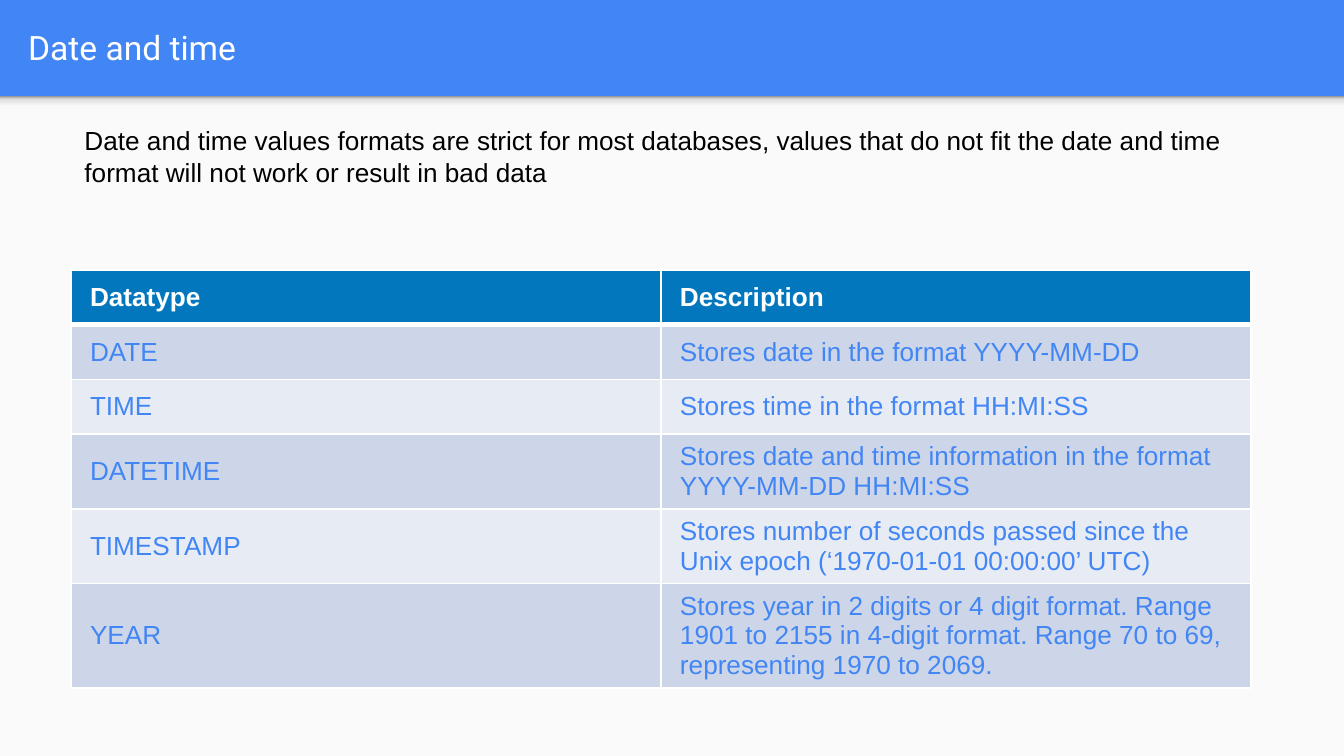
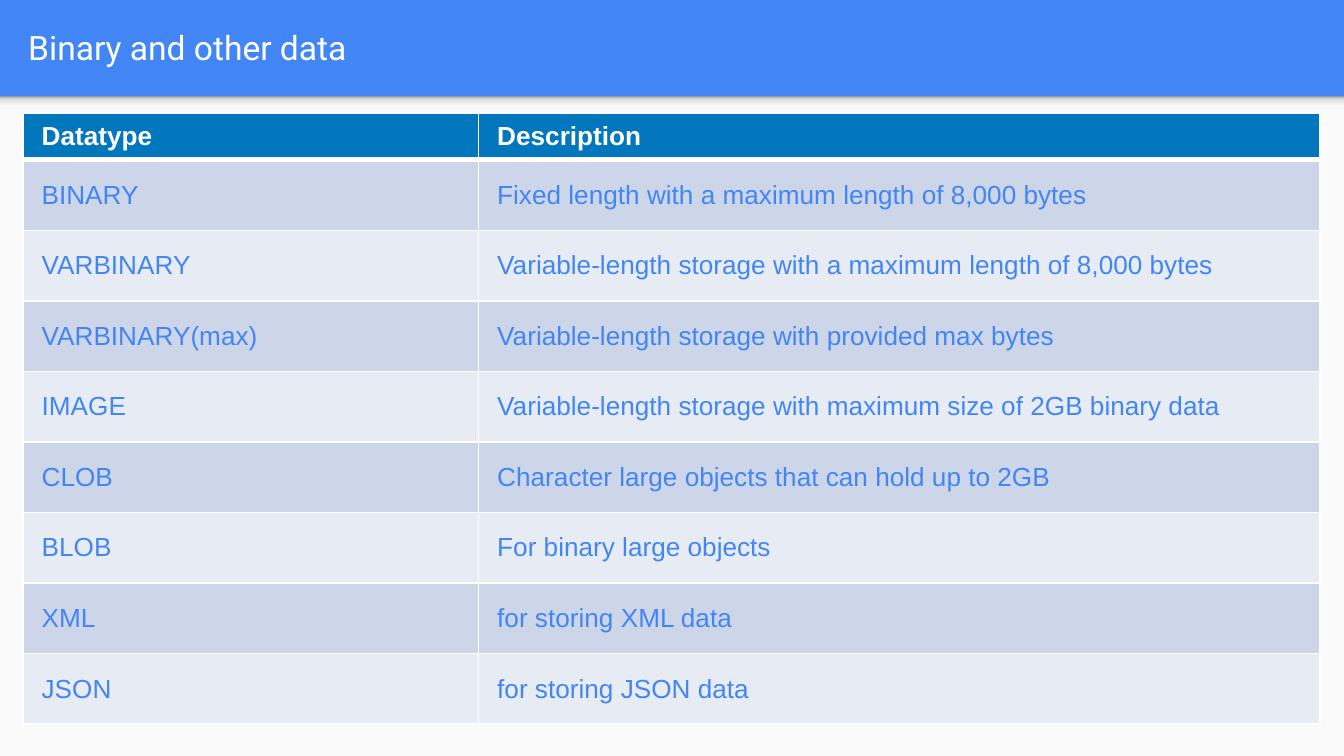
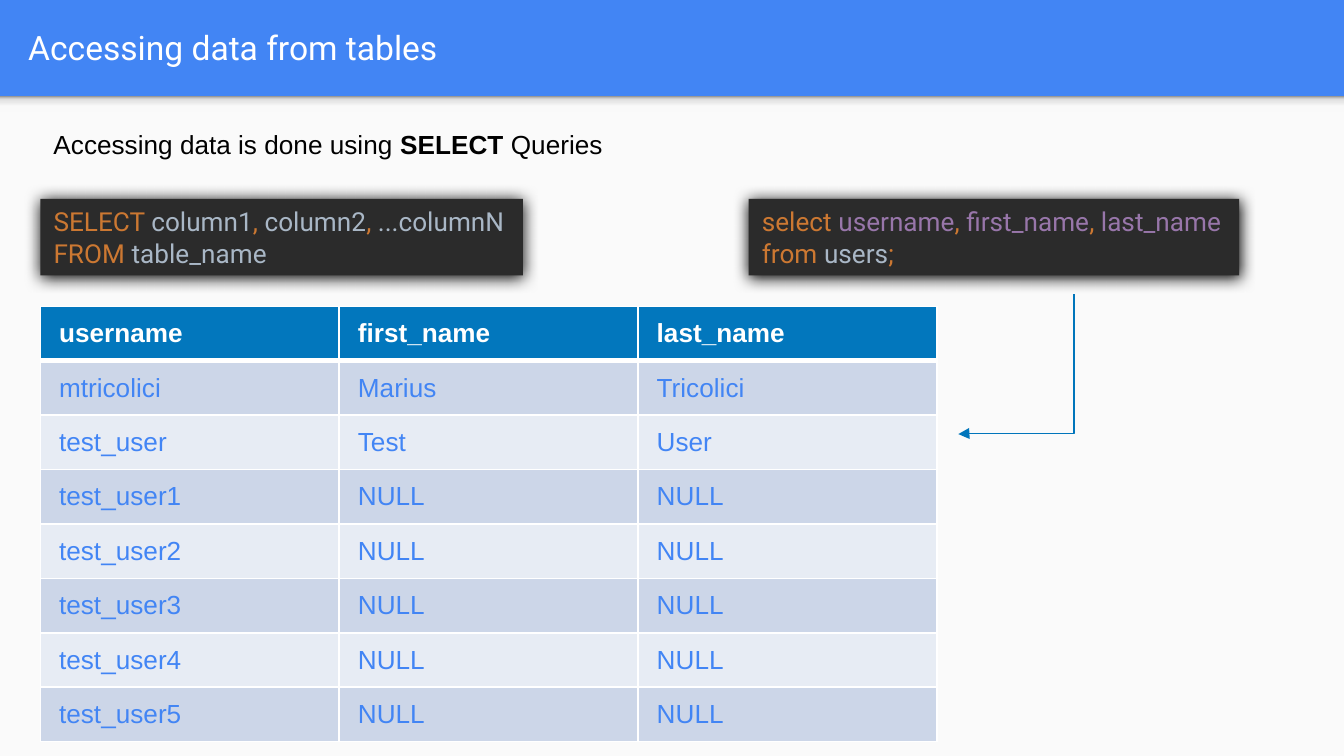
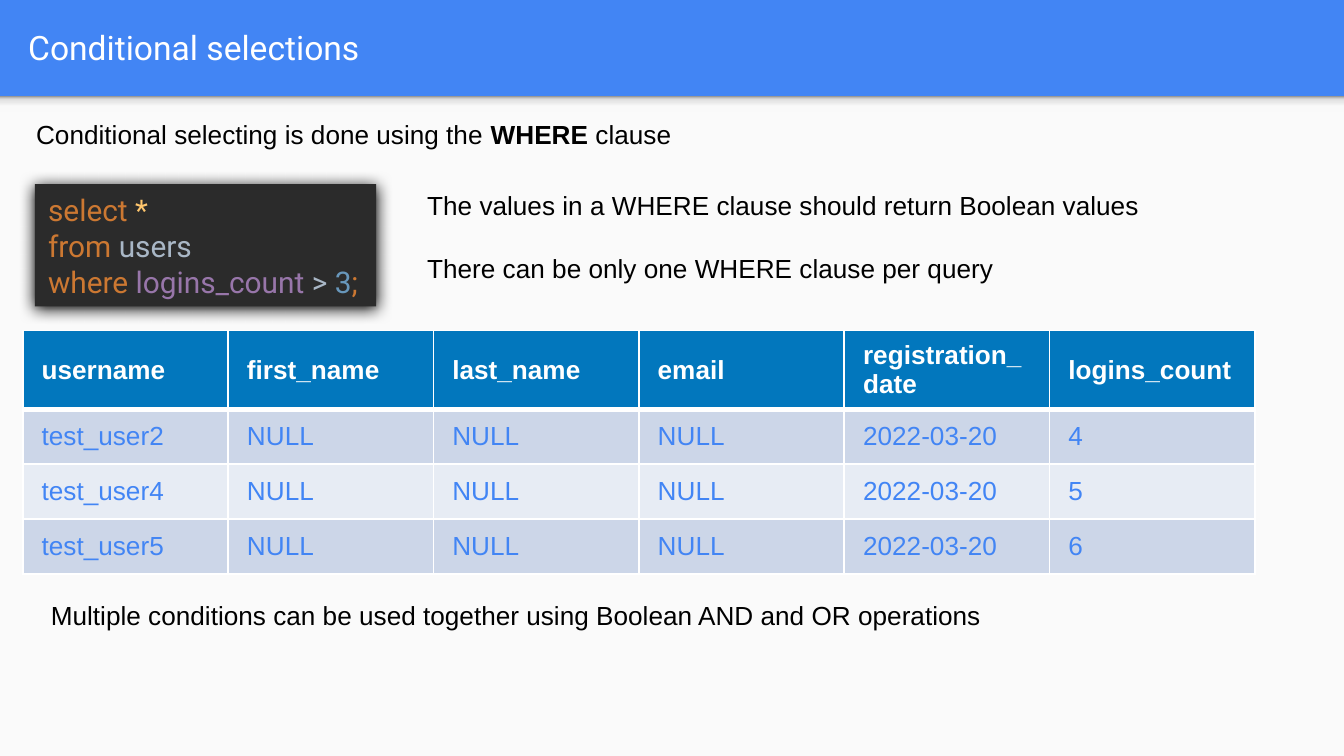
from dataclasses import dataclass

from pptx import Presentation
from pptx.dml.color import RGBColor
from pptx.enum.shapes import MSO_CONNECTOR, MSO_SHAPE
from pptx.enum.text import MSO_ANCHOR, MSO_AUTO_SIZE, PP_ALIGN
from pptx.oxml import parse_xml
from pptx.oxml.ns import nsdecls, qn
from pptx.util import Inches, Pt

RECTANGLE = MSO_SHAPE.RECTANGLE
ELBOW = MSO_CONNECTOR.ELBOW
MIDDLE = MSO_ANCHOR.MIDDLE
LEFT = PP_ALIGN.LEFT
FIT_SHAPE = MSO_AUTO_SIZE.SHAPE_TO_FIT_TEXT
FIT_NONE = MSO_AUTO_SIZE.NONE
TITLE_ONLY = 5


@dataclass(frozen=True)
class Theme:
    primary: str = "4285F4"
    page: str = "FAFAFA"
    white: str = "FFFFFF"
    text: str = "000000"
    header: str = "0277BD"
    row_odd: str = "CCD6E8"
    row_even: str = "E7ECF4"
    arrow: str = "0075BB"
    code_fill: str = "2B2B2B"
    keyword: str = "CC7832"
    plain: str = "A9B7C6"
    column: str = "9876AA"
    star: str = "FFC66D"
    number: str = "6897BB"
    band_stops: tuple = ((0, "F9F9F9"), (36, "F9F9F9"), (80, "DEDEDE"), (100, "999999"))
    body_font: str = "Arial"
    title_font: str = "Roboto"
    title_size: int = 18
    code_size: int = 14
    code_size_large: int = 16
    body_size: int = 14
    paragraph_gap: int = 17


THEME = Theme()


def rgb(value):
    return RGBColor.from_string(value)


def drawing_element(tag, inner="", **attributes):
    listed = " ".join(f'{name}="{value}"' for name, value in attributes.items())
    return parse_xml(f'<a:{tag} {nsdecls("a")} {listed}>{inner}</a:{tag}>')


def color_markup(value):
    return f'<a:srgbClr val="{value}"/>'


def write(paragraph, text, *, font=THEME.body_font, size=THEME.body_size,
          color=THEME.text, bold=False):
    run = paragraph.add_run()
    run.text = text
    run.font.name = font
    run.font.size = Pt(size)
    run.font.color.rgb = rgb(color)
    run.font.bold = bold


def set_insets(target, horizontal, vertical):
    target.margin_left = target.margin_right = Inches(horizontal)
    target.margin_top = target.margin_bottom = Inches(vertical)


def add_rectangle(slide, box, fill=None):
    shape = slide.shapes.add_shape(RECTANGLE, *map(Inches, box))
    shape.shadow.inherit = False
    shape.line.fill.background()
    if fill:
        shape.fill.solid()
        shape.fill.fore_color.rgb = rgb(fill)
    return shape


# Shared page: blue background, light page and shaded band, held by the master
def build_master(presentation, slide):
    master = presentation.slide_master
    master.background.fill.solid()
    master.background.fill.fore_color.rgb = rgb(THEME.primary)

    page_height = 4.91
    page_top = presentation.slide_height.inches - page_height
    page = add_rectangle(slide, (0, page_top, 10, page_height), THEME.page)
    band = add_rectangle(slide, (0, page_top, 10, 0.12))
    band.fill.gradient()
    band.fill.gradient_angle = 90
    stops = band.element.spPr.find(".//" + qn("a:gsLst"))
    stops.clear()
    for position, color in THEME.band_stops:
        stops.append(drawing_element("gs", color_markup(color), pos=position * 1000))
    for index, shape in enumerate((page, band), start=2):
        master.shapes.element.insert(index, shape.element)


def add_titled_slide(presentation, title):
    slide = presentation.slides.add_slide(presentation.slide_layouts[TITLE_ONLY])
    shape = slide.shapes.title
    shape.left, shape.top, shape.width, shape.height = map(Inches, (0.11, 0.02, 9.65, 0.66))
    frame = shape.text_frame
    set_insets(frame, 0.1, 0.1)
    frame.vertical_anchor = MIDDLE
    frame.auto_size = FIT_NONE
    paragraph = frame.paragraphs[0]
    paragraph.alignment = LEFT
    write(paragraph, title, font=THEME.title_font, size=THEME.title_size, color=THEME.white)
    return slide


# Body text: each paragraph is a list of (text, bold) spans
def add_text(slide, box, *paragraphs):
    frame = slide.shapes.add_textbox(*map(Inches, box)).text_frame
    frame.word_wrap = True
    frame.auto_size = FIT_SHAPE
    for index, spans in enumerate(paragraphs):
        paragraph = frame.add_paragraph() if index else frame.paragraphs[0]
        if index:
            paragraph.space_before = Pt(THEME.paragraph_gap)
        for text, bold in spans:
            write(paragraph, text, bold=bold)


# Code panel: each line is a list of (text, color) spans
def add_code(slide, box, lines, size=THEME.code_size):
    shape = add_rectangle(slide, box, THEME.code_fill)
    shape.element.spPr.find(qn("a:effectLst")).append(drawing_element(
        "outerShdw", color_markup(THEME.text), blurRad=Pt(8.5), dist=Pt(1),
        dir=5400000, algn="t", rotWithShape=0))
    frame = shape.text_frame
    frame.word_wrap = False
    frame.auto_size = FIT_SHAPE
    frame.vertical_anchor = MIDDLE
    paragraph = frame.paragraphs[0]
    paragraph.alignment = LEFT
    for index, spans in enumerate(lines):
        if index:
            paragraph.add_line_break()
        for text, color in spans:
            write(paragraph, text, font=THEME.title_font, size=size, color=color)


# Tables
def set_borders(cell, top, bottom):
    properties = cell._tc.get_or_add_tcPr()
    fill = f"<a:solidFill>{color_markup(THEME.white)}</a:solidFill>"
    for index, (side, width) in enumerate((("L", 1), ("R", 1), ("T", top), ("B", bottom))):
        properties.insert(index, drawing_element(f"ln{side}", fill, w=Pt(width)))


def add_data_table(slide, box, rows, column_widths=None, header_height=None):
    left, top, width, height = map(Inches, box)
    table = slide.shapes.add_table(len(rows), len(rows[0]), left, top, width, height).table
    if column_widths:
        for column, column_width in zip(table.columns, column_widths):
            column.width = Inches(column_width)
    if header_height:
        header, *body = table.rows
        header.height = Inches(header_height)
        for row in body:
            row.height = (height - header.height) // len(body)

    for row_index, values in enumerate(rows):
        is_header = row_index == 0
        stripe = THEME.row_odd if row_index % 2 else THEME.row_even
        for column_index, value in enumerate(values):
            cell = table.cell(row_index, column_index)
            cell.fill.solid()
            cell.fill.fore_color.rgb = rgb(THEME.header if is_header else stripe)
            cell.vertical_anchor = MIDDLE
            set_insets(cell, 0.14, 0.06)
            set_borders(cell, top=3 if row_index == 1 else 1, bottom=3 if is_header else 1)
            write(cell.text_frame.paragraphs[0], value, bold=is_header,
                  color=THEME.white if is_header else THEME.primary)


# Arrow that runs down from start, then turns left into end
def add_down_left_arrow(slide, start, end):
    drop, run = end[1] - start[1], start[0] - end[0]
    left = (start[0] + end[0] - drop) / 2
    top = (start[1] + end[1] - run) / 2
    connector = slide.shapes.add_connector(
        ELBOW, *map(Inches, (left, top, left + drop, top + run)))
    connector.line.color.rgb = rgb(THEME.arrow)
    connector.line.width = Pt(0.75)
    properties = connector.element.spPr
    properties.find(qn("a:xfrm")).set("rot", "5400000")
    properties.find(".//" + qn("a:avLst")).append(
        drawing_element("gd", name="adj1", fmla="val 99600"))
    properties.find(qn("a:ln")).append(drawing_element("tailEnd", type="triangle"))
    properties.append(drawing_element("effectLst"))


# Slides
def build_date_slide(slide):
    add_data_table(slide, (0.53, 2.01, 8.78, 2.44), [
        ("Datatype", "Description"),
        ("DATE", "Stores date in the format YYYY-MM-DD"),
        ("TIME", "Stores time in the format HH:MI:SS"),
        ("DATETIME", "Stores date and time information in the format YYYY-MM-DD HH:MI:SS"),
        ("TIMESTAMP", "Stores number of seconds passed since the Unix epoch "
                      "(‘1970-01-01 00:00:00’ UTC)"),
        ("YEAR", "Stores year in 2 digits or 4 digit format. Range 1901 to 2155 in "
                 "4-digit format. Range 70 to 69, representing 1970 to 2069."),
    ])
    add_text(slide, (0.53, 0.88, 8.72, 0.57), [
        ("Date and time values formats are strict for most databases, values that do not "
         "fit the date and time format will not work or result in bad data", False)])


def build_binary_slide(slide):
    add_data_table(slide, (0.17, 0.84, 9.65, 4.55), [
        ("Datatype", "Description"),
        ("BINARY", "Fixed length with a maximum length of 8,000 bytes"),
        ("VARBINARY", "Variable-length storage with a maximum length of 8,000 bytes"),
        ("VARBINARY(max)", "Variable-length storage with provided max bytes"),
        ("IMAGE", "Variable-length storage with maximum size of 2GB binary data"),
        ("CLOB", "Character large objects that can hold up to 2GB"),
        ("BLOB", "For binary large objects"),
        ("XML", "for storing XML data"),
        ("JSON", "for storing JSON data"),
    ], column_widths=(3.39, 6.26), header_height=0.35)


def build_access_slide(slide):
    keyword, plain, column = THEME.keyword, THEME.plain, THEME.column
    comma = (", ", keyword)
    add_text(slide, (0.3, 0.91, 8.93, 0.34), [
        ("Accessing data is done using ", False), ("SELECT ", True), ("Queries", False)])
    add_code(slide, (0.3, 1.48, 3.59, 0.57), [
        [("SELECT ", keyword), ("column1", plain), comma, ("column2", plain), comma,
         ("...columnN", plain)],
        [("FROM ", keyword), ("table_name", plain)],
    ])
    add_code(slide, (5.57, 1.48, 3.65, 0.57), [
        [("select ", keyword), ("username", column), comma, ("first_name", column), comma,
         ("last_name", column)],
        [("from ", keyword), ("users", plain), (";", keyword)],
    ])
    add_data_table(slide, (0.3, 2.28, 6.67, 3.24), [
        ("username", "first_name", "last_name"),
        ("mtricolici", "Marius", "Tricolici"),
        ("test_user", "Test", "User"),
        *((f"test_user{number}", "NULL", "NULL") for number in range(1, 6)),
    ])
    add_down_left_arrow(slide, start=(7.99, 2.19), end=(7.13, 3.23))


def build_condition_slide(slide):
    keyword, plain = THEME.keyword, THEME.plain
    add_code(slide, (0.26, 1.37, 2.54, 0.91), [
        [("select ", keyword), ("*", THEME.star)],
        [("from ", keyword), ("users", plain)],
        [("where ", keyword), ("logins_count ", THEME.column), ("> ", plain),
         ("3", THEME.number), (";", keyword)],
    ], size=THEME.code_size_large)
    add_text(slide, (0.17, 0.83, 7.88, 0.34), [
        ("Conditional selecting is done using the ", False), ("WHERE ", True),
        ("clause", False)])
    add_text(slide, (3.08, 1.36, 5.85, 0.81),
             [("The values in a WHERE clause should return Boolean values", False)],
             [("There can be only one WHERE clause per query", False)])
    add_data_table(slide, (0.17, 2.46, 9.17, 1.63), [
        ("username", "first_name", "last_name", "email", "registration_date", "logins_count"),
        *((f"test_user{user}", "NULL", "NULL", "NULL", "2022-03-20", logins)
          for user, logins in ((2, "4"), (4, "5"), (5, "6"))),
    ])
    add_text(slide, (0.28, 4.41, 9.17, 0.34), [
        ("Multiple conditions can be used together using Boolean AND and OR operations",
         False)])


def main():
    presentation = Presentation()
    presentation.slide_width = Inches(10)
    presentation.slide_height = Inches(10) * 9 // 16
    builders = {
        "Date and time": build_date_slide,
        "Binary and other data": build_binary_slide,
        "Accessing data from tables": build_access_slide,
        "Conditional selections": build_condition_slide,
    }
    for title, build in builders.items():
        build(add_titled_slide(presentation, title))
    build_master(presentation, presentation.slides[0])
    presentation.save("out.pptx")


if __name__ == "__main__":
    main()
